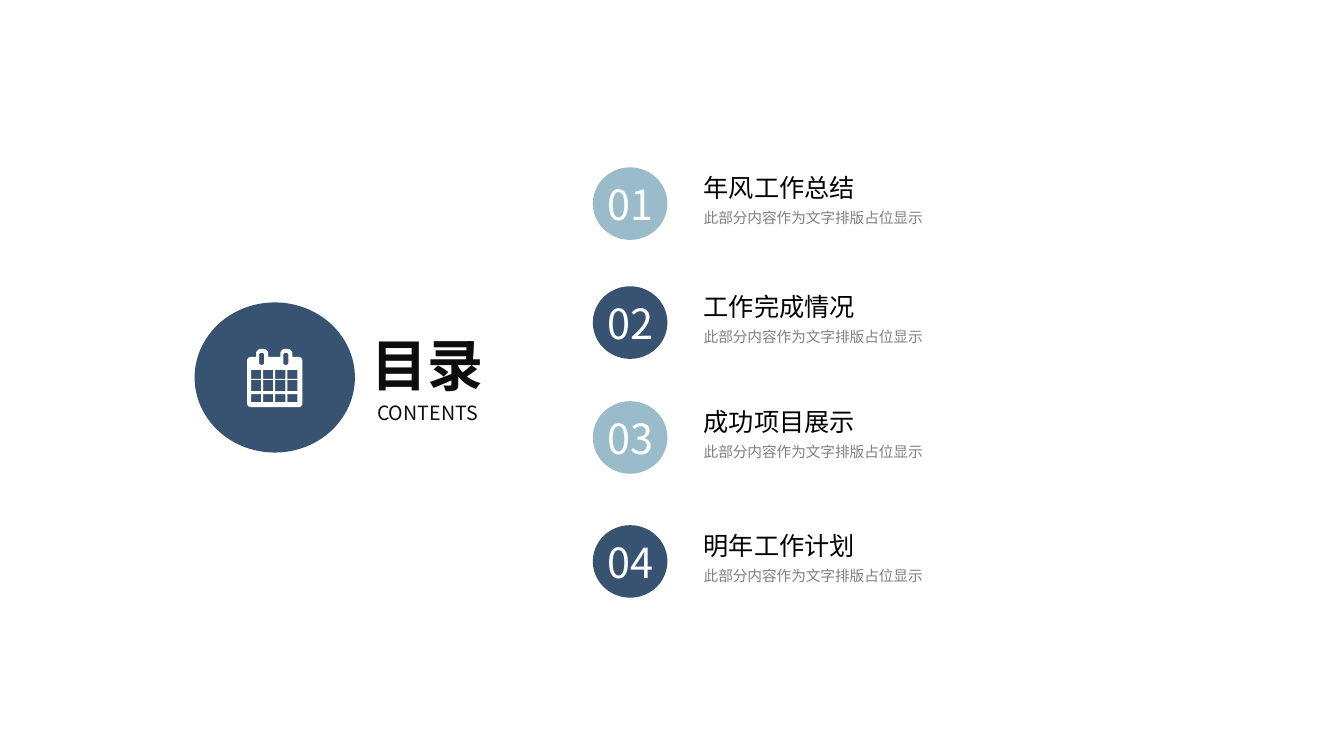
from math import cos, radians, sin

from pptx import Presentation
from pptx.dml.color import RGBColor
from pptx.enum.shapes import MSO_SHAPE
from pptx.enum.text import MSO_ANCHOR, MSO_AUTO_SIZE, PP_ALIGN
from pptx.oxml.xmlchemy import OxmlElement
from pptx.util import Inches, Pt

NAVY = RGBColor(0x37, 0x53, 0x71)
SKY = RGBColor(0x9A, 0xBB, 0xCA)
WHITE = RGBColor(0xFF, 0xFF, 0xFF)
INK = RGBColor(0x0D, 0x0D, 0x0D)
BLACK = RGBColor(0, 0, 0)
GRAY = RGBColor(0x80, 0x80, 0x80)
FONT = "Noto Sans CJK SC"
OVAL = MSO_SHAPE.OVAL
MIDDLE, BOTTOM = MSO_ANCHOR.MIDDLE, MSO_ANCHOR.BOTTOM
LEFT, CENTER = PP_ALIGN.LEFT, PP_ALIGN.CENTER
FIXED = MSO_AUTO_SIZE.NONE


def write(shape, text, size, color, align=LEFT, bold=False, space=1.0, **extra):
    """Put one formatted line of text into a shape."""
    frame = shape.text_frame
    form = dict(auto_size=FIXED, word_wrap=True, vertical_anchor=MIDDLE,
                margin_left=0, margin_right=0, margin_top=0, margin_bottom=0)
    for key, value in {**form, **extra}.items():
        setattr(frame, key, value)
    line = frame.paragraphs[0]
    line.alignment, line.line_spacing = align, space
    run = line.add_run()
    run.text = text
    for key, value in dict(name=FONT, size=Pt(size), bold=bold).items():
        setattr(run.font, key, value)
    run.font.color.rgb = color
    east = OxmlElement("a:ea")
    east.set("typeface", FONT)
    run.font._element.append(east)


def paint(shape, color):
    """Give a shape a flat fill with no line or shadow."""
    shape.shadow.inherit = False
    shape.fill.solid()
    shape.fill.fore_color.rgb = color
    shape.line.fill.background()


deck = Presentation()
deck.slide_width, deck.slide_height = Inches(13.33), Inches(7.5)
slide = deck.slides.add_slide(deck.slide_layouts[5])
shapes = slide.shapes

# Heading
title = shapes.title
place = dict(left=3.53, top=3.28, width=1.42, height=0.67)
for key, value in place.items():
    setattr(title, key, Inches(value))
write(title, "目录", 40, INK, CENTER, bold=True)
label = shapes.add_textbox(Inches(3.53), Inches(3.96), Inches(1.42), Inches(0.26))
write(label, "CONTENTS", 14, INK, CENTER,
      margin_left=Inches(0.08), margin_right=Inches(0.08))

# Badge
badge = shapes.add_shape(OVAL, Inches(1.93), Inches(3), Inches(1.59), Inches(1.49))
paint(badge, NAVY)

# Calendar outlines: quarter arcs as (centre x, centre y, radius, start angle)
body = [(2.49, 3.58, 0.04, 180)]
for ring in (2.54, 2.78):
    body += [(ring, 3.54, 0, 0), (ring + 0.05, 3.51, 0.05, 180),
             (ring + 0.07, 3.51, 0.05, 270), (ring + 0.12, 3.54, 0, 0)]
body += [(2.96, 3.58, 0.04, 270), (2.96, 4, 0.04, 0), (2.49, 4, 0.04, 90)]
loops = [body]

# Ring slots and day cells as left, top, right, bottom, corner radius
holes = [(x, 3.5, x + 0.05, 3.62, 0.02) for x in (2.57, 2.81)]
holes += [(2.49 + 0.12 * col, top, 2.59 + 0.12 * col, low, 0)
          for top, low in ((3.67, 3.76), (3.77, 3.88), (3.91, 3.99))
          for col in range(4)]
for x1, y1, x2, y2, r in holes:
    loops.append([(x1 + r, y1 + r, r, 180), (x2 - r, y1 + r, r, 270),
                  (x2 - r, y2 - r, r, 0), (x1 + r, y2 - r, r, 90)])

pen = None
for loop in loops:
    dots = [(Inches(x + r * cos(radians(turn + step))),
             Inches(y + r * sin(radians(turn + step))))
            for x, y, r, turn in loop
            for step in (range(0, 91, 15) if r else (0,))]
    if pen is None:
        pen = shapes.build_freeform(*dots[0])
    else:
        pen.move_to(*dots[0])
    pen.add_line_segments(dots[1:], close=True)
paint(pen.convert_to_shape(), WHITE)

# Agenda entries
items = [(1.66, "年风工作总结"), (2.84, "工作完成情况"),
         (3.98, "成功项目展示"), (5.21, "明年工作计划")]
for num, (top, name) in enumerate(items, 1):
    disc = shapes.add_shape(OVAL, Inches(5.88), Inches(top), Inches(0.74), Inches(0.72))
    paint(disc, SKY if num % 2 else NAVY)
    write(disc, f"{num:02}", 29.6, WHITE, CENTER, word_wrap=False)
    head = shapes.add_textbox(Inches(6.98), Inches(top + 0.03), Inches(3.9), Inches(0.32))
    write(head, name, 18, BLACK, vertical_anchor=BOTTOM, word_wrap=False)
    note = shapes.add_textbox(Inches(6.98), Inches(top + 0.33), Inches(3.9), Inches(0.3))
    write(note, "此部分内容作为文字排版占位显示", 10.5, GRAY, space=1.2)

deck.save("out.pptx")
